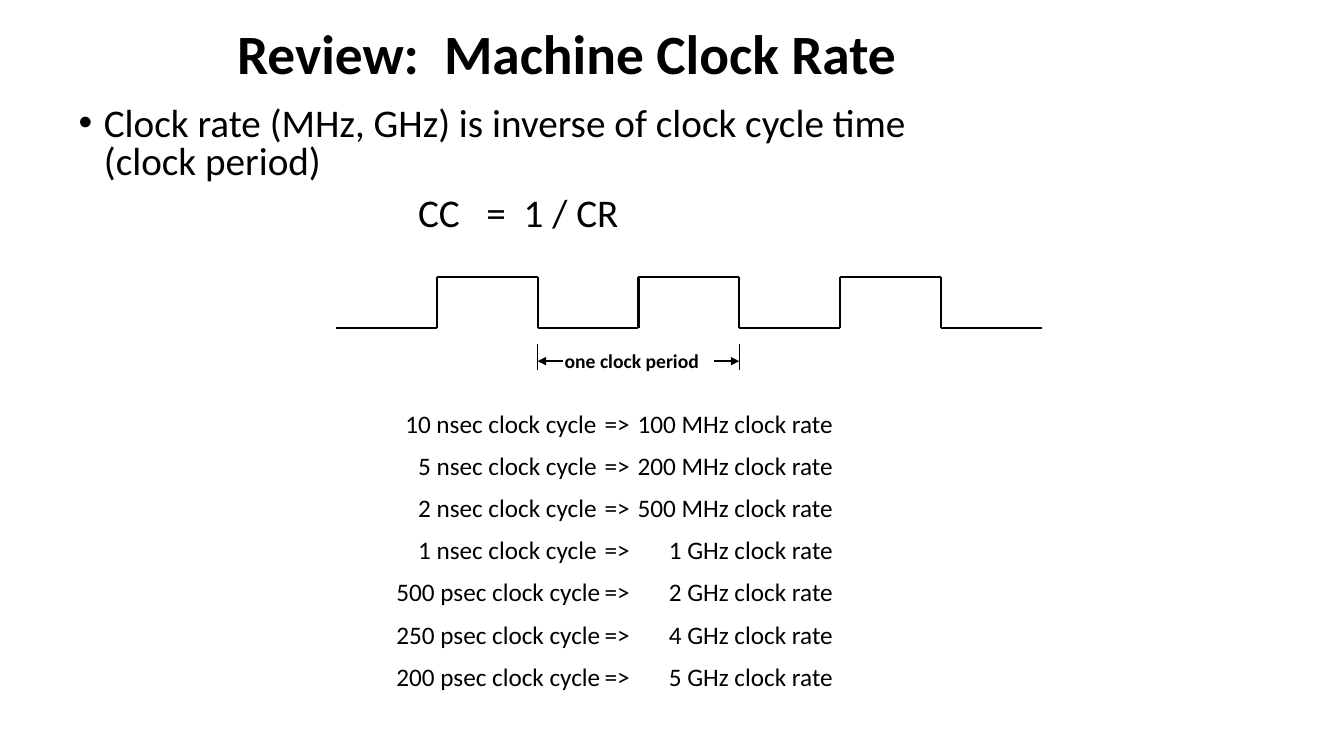
from itertools import pairwise

from lxml import etree
from pptx import Presentation
from pptx.dml.color import RGBColor
from pptx.enum.shapes import MSO_CONNECTOR
from pptx.enum.text import MSO_ANCHOR, MSO_AUTO_SIZE, PP_ALIGN
from pptx.oxml.ns import qn
from pptx.util import Cm, Pt

STRAIGHT = MSO_CONNECTOR.STRAIGHT
MIDDLE = MSO_ANCHOR.MIDDLE
NO_FIT = MSO_AUTO_SIZE.NONE
LEFT, CENTER = PP_ALIGN.LEFT, PP_ALIGN.CENTER
FONT = "Calibri"
BLACK = "000000"

RATES = [
    ("10 nsec clock cycle", "100 MHz clock rate"),
    ("5 nsec clock cycle", "200 MHz clock rate"),
    ("2 nsec clock cycle", "500 MHz clock rate"),
    ("1 nsec clock cycle", "1 GHz clock rate"),
    ("500 psec clock cycle", "2 GHz clock rate"),
    ("250 psec clock cycle", "4 GHz clock rate"),
    ("200 psec clock cycle", "5 GHz clock rate"),
]
RATE_TABS = [(5.05, "r"), (5.25, "l"), (11, "r")]


def rgb(color):
    """Return the colour for a hex string."""
    return RGBColor.from_string(color)


def style(p, size, bold=False):
    """Format every run of a paragraph."""
    for r in p.runs:
        r.font.name = FONT
        r.font.size = Pt(size)
        r.font.bold = bold
        r.font.color.rgb = rgb(BLACK)


def add_text(slide, box, lines):
    """Add a wrapping text box and return its paragraphs."""
    tf = slide.shapes.add_textbox(*map(Cm, box)).text_frame
    tf.word_wrap = True
    tf.text = "\n".join(lines)
    return tf.paragraphs


def add_line(slide, start, end, width, arrow=False):
    """Draw a straight line, with an arrowhead at its end if asked."""
    sp = slide.shapes.add_connector(STRAIGHT, *map(Cm, (*start, *end)))
    sp.line.color.rgb = rgb(BLACK)
    sp.line.width = Pt(width)
    if arrow:
        etree.SubElement(sp.line._ln, qn("a:tailEnd"), type="triangle")
    etree.SubElement(sp._element.spPr, qn("a:effectLst"))


def add_title(slide, box):
    """Place and format the slide title."""
    sp = slide.shapes.title
    sp.left, sp.top, sp.width, sp.height = map(Cm, box)
    tf = sp.text_frame
    tf.text = "Review:  Machine Clock Rate"
    tf.auto_size = NO_FIT
    tf.vertical_anchor = MIDDLE
    p = tf.paragraphs[0]
    p.alignment = LEFT
    p.line_spacing = 0.9
    style(p, 39.6, True)


def add_definition(slide, box):
    """State the relation between clock rate and clock cycle."""
    point, formula = add_text(slide, box, [
        "Clock rate (MHz, GHz) is inverse of clock cycle time (clock period)",
        "CC   =  1 / CR",
    ])
    pPr = point._p.get_or_add_pPr()
    pPr.set("marL", str(Cm(0.64)))
    pPr.set("indent", str(-Cm(0.64)))
    etree.SubElement(pPr, qn("a:buFont"), typeface="Arial")
    etree.SubElement(pPr, qn("a:buChar"), char="•")
    formula.alignment = CENTER
    formula.space_before = Pt(10)
    for p in (point, formula):
        p.line_spacing = 0.8
        style(p, 28)


def add_waveform(slide, box, levels=7):
    """Draw a square wave that starts and ends low."""
    left, top, width, height = box
    step = width / levels
    points = []
    for i in range(levels):
        y = top if i % 2 else top + height
        points += [(left + i * step, y), (left + (i + 1) * step, y)]
    for start, end in pairwise(points):
        add_line(slide, start, end, 1.5)


def add_period(slide, box):
    """Mark one clock period between two ticks."""
    left, top, width, height = box
    p = add_text(slide, (left + 0.43, top, width - 0.64, 0.85),
                 ["one clock period"])[0]
    style(p, 14, True)
    y = top + 0.42
    for x, inward in ((left, 0.64), (left + width, -0.64)):
        add_line(slide, (x, top), (x, top + height), 1)
        add_line(slide, (x + inward, y), (x, y), 1, True)


def add_rates(slide, box):
    """List clock cycles beside their clock rates on tab stops."""
    lines = [f"\t{cycle}\t=>\t{rate}" for cycle, rate in RATES]
    for i, p in enumerate(add_text(slide, box, lines)):
        if i:
            p.space_before = Pt(8.5)
        tabs = etree.SubElement(p._p.get_or_add_pPr(), qn("a:tabLst"))
        for pos, align in RATE_TABS:
            etree.SubElement(tabs, qn("a:tab"), pos=str(Cm(pos)), algn=align)
        style(p, 18)


def main():
    """Build and save the slide."""
    prs = Presentation()
    prs.slide_width, prs.slide_height = Cm(33.87), Cm(19.05)
    slide = prs.slides.add_slide(prs.slide_layouts[5])
    add_title(slide, (5.72, 0.84, 18.2, 1.17))
    add_definition(slide, (1.73, 2.59, 22.66, 3.53))
    add_waveform(slide, (8.47, 6.99, 17.78, 1.27))
    add_period(slide, (13.55, 8.68, 5.08, 0.64))
    add_rates(slide, (9.74, 10.16, 14.39, 7.9))
    prs.save("out.pptx")


if __name__ == "__main__":
    main()
